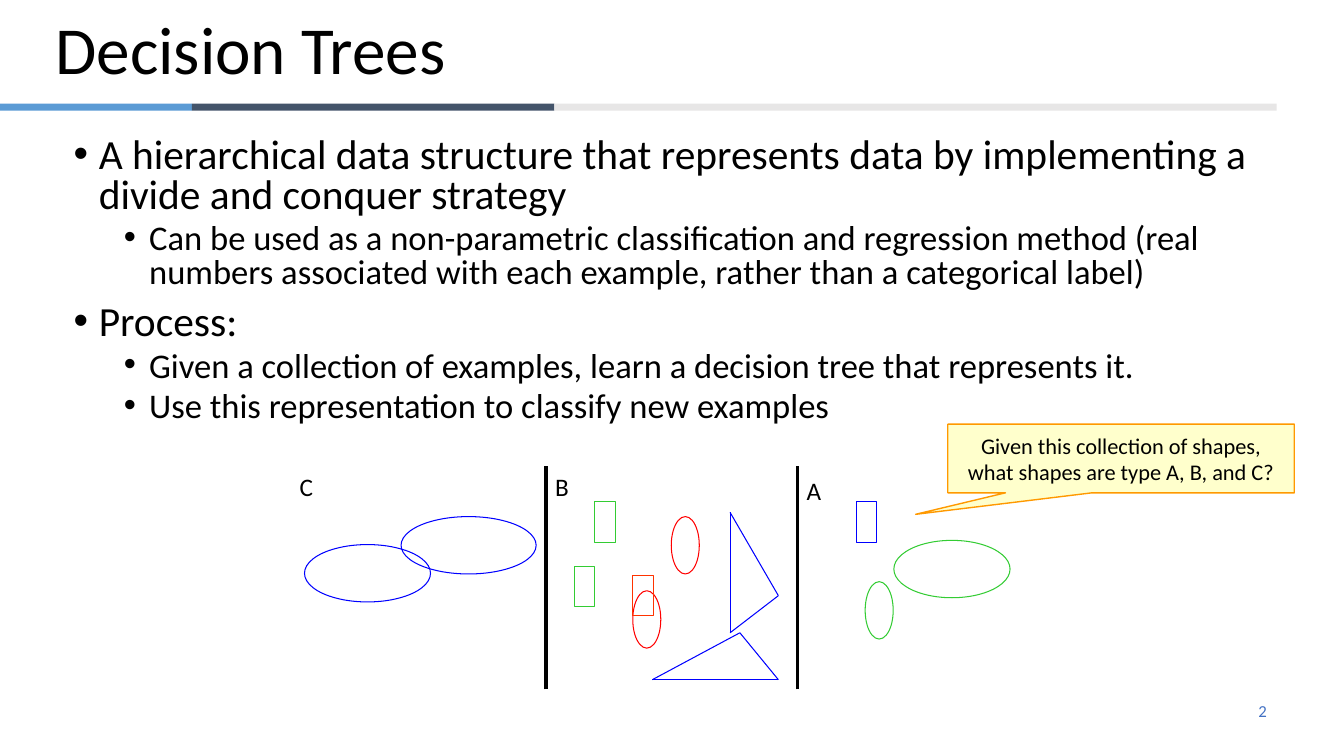
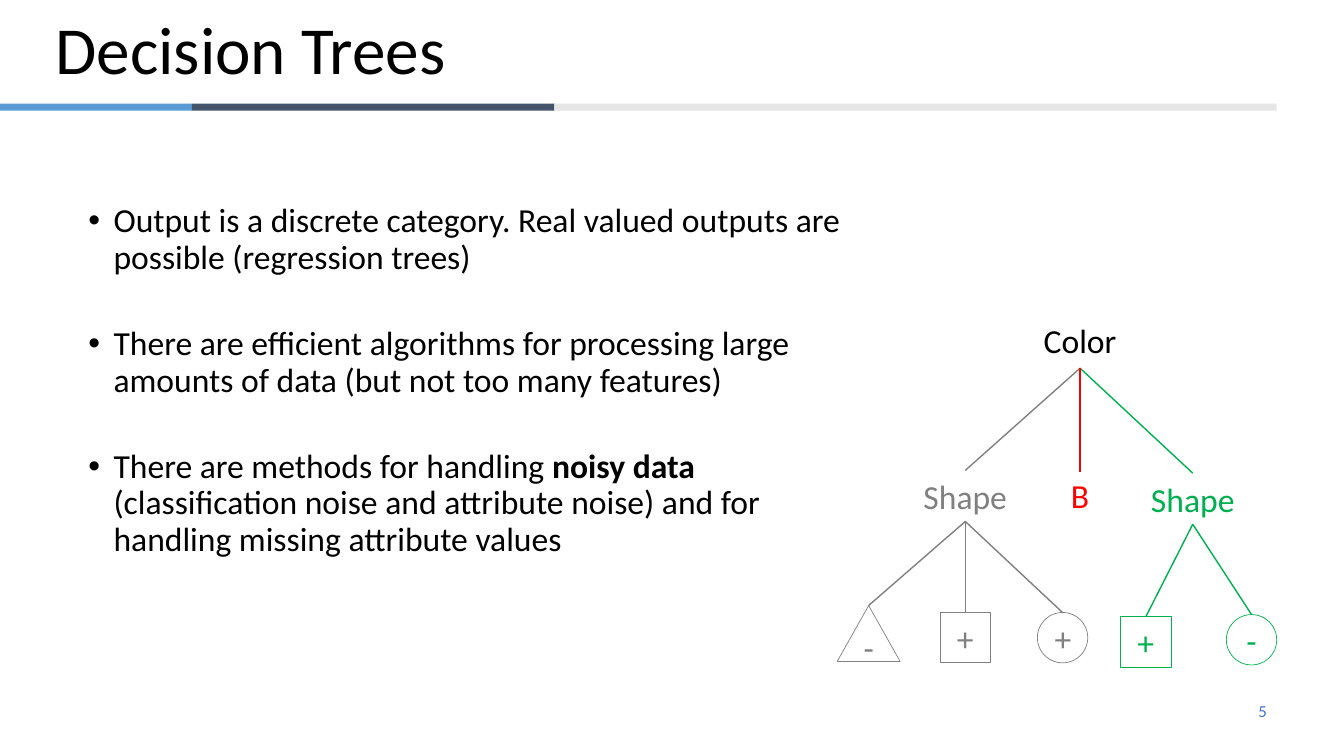
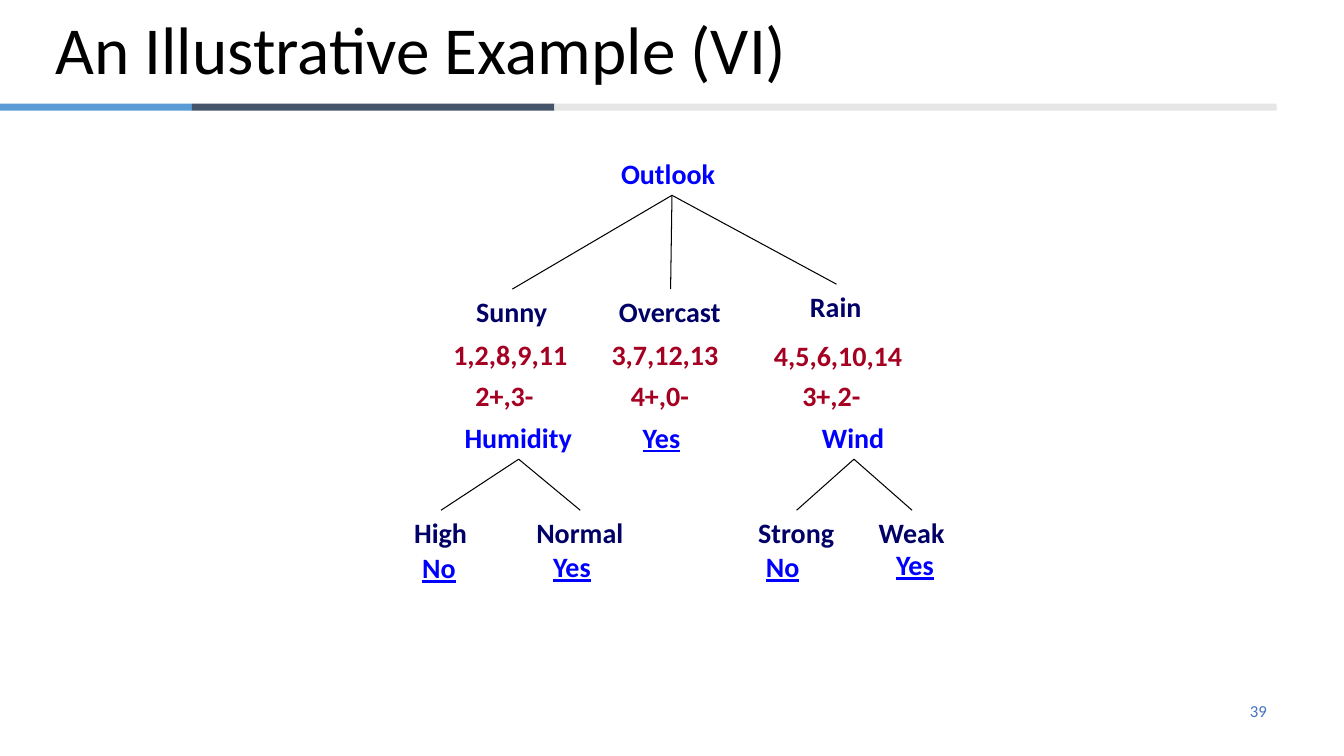
from itertools import combinations
from lxml import etree
from pptx import Presentation
from pptx import util as u
from pptx.dml import color as c
from pptx.enum import shapes as s, text as t
from pptx.oxml import ns

FONT = "Calibri"
BLACK, BLUE, GREEN, RED = "000000", "0000FF", "33CC33", "FF0000"
GRAY, LEAF, NAVY, WINE = "808080", "00B050", "000066", "A50021"
RECT, OVAL = s.MSO_SHAPE.RECTANGLE, s.MSO_SHAPE.OVAL
ROUND, TRI = s.MSO_SHAPE.ROUNDED_RECTANGLE, s.MSO_SHAPE.ISOSCELES_TRIANGLE
MID, LEFT = t.PP_ALIGN.CENTER, t.PP_ALIGN.LEFT
BANDS = [(137, "5B9BD5"), (259, "44546A"), (516, "E7E6E6")]


def hue(code):
    return c.RGBColor.from_string(code)


def put(item, **form):
    for key, val in form.items():
        setattr(item, key, val)


def pts(*nums):
    return [u.Pt(n) for n in nums]


def add_run(para, words, size, tint=BLACK, **form):
    run = para.add_run()
    run.text = words
    put(run.font, name=FONT, size=u.Pt(size), **form)
    run.font.color.rgb = hue(tint)


def add_text(slide, box, words, size, tint=BLACK, align=LEFT,
             anchor=t.MSO_ANCHOR.TOP, space=1.0, grow=False, **form):
    frame = slide.shapes.add_textbox(*pts(*box)).text_frame
    fit = t.MSO_AUTO_SIZE.SHAPE_TO_FIT_TEXT if grow else t.MSO_AUTO_SIZE.NONE
    put(frame, word_wrap=not grow, auto_size=fit, vertical_anchor=anchor)
    para = frame.paragraphs[0]
    put(para, alignment=align, line_spacing=space)
    add_run(para, words, size, tint, **form)


def add_form(slide, kind, box, fill=None, line=None, width=0.75,
             words="", size=24, tint=BLACK):
    form = slide.shapes.add_shape(kind, *pts(*box))
    form.shadow.inherit = False
    if fill:
        form.fill.solid()
        form.fill.fore_color.rgb = hue(fill)
    else:
        form.fill.background()
    if line:
        form.line.color.rgb = hue(line)
        form.line.width = u.Pt(width)
    else:
        form.line.fill.background()
    if words:
        put(form.text_frame, word_wrap=True, vertical_anchor=t.MSO_ANCHOR.MIDDLE)
        para = form.text_frame.paragraphs[0]
        para.alignment = MID
        add_run(para, words, size, tint)
    return form


def add_line(slide, start, end, tint=BLACK, width=0.75):
    line = slide.shapes.add_connector(s.MSO_CONNECTOR.STRAIGHT, *pts(*start, *end))
    line.line.color.rgb = hue(tint)
    line.line.width = u.Pt(width)
    etree.SubElement(line._element.spPr, ns.qn("a:effectLst"))


def new_slide(deck, title, num):
    slide = deck.slides.add_slide(deck.slide_layouts[6])
    left = 0
    for wide, tint in BANDS:
        add_form(slide, RECT, (left, 74, wide, 5), tint)
        left += wide
    add_text(slide, (688, 493, 224, 29), num, 12, "4472C4",
             t.PP_ALIGN.RIGHT, t.MSO_ANCHOR.MIDDLE)
    add_text(slide, (32.5, 1.5, 864, 72.5), title, 48,
             anchor=t.MSO_ANCHOR.MIDDLE, space=0.9)
    return slide


def add_list(slide, box, items, sizes, gaps, space):
    frame = slide.shapes.add_textbox(*pts(*box)).text_frame
    frame.word_wrap = True
    for i, (level, parts) in enumerate(items):
        para = frame.add_paragraph() if i else frame.paragraphs[0]
        gap = gaps[level] if i else min(gaps)
        put(para, line_spacing=space, space_before=u.Pt(gap))
        prop = para._p.get_or_add_pPr()
        prop.set("marL", str(u.Pt(18 + 36 * level)))
        prop.set("indent", str(u.Pt(-18)))
        etree.SubElement(prop, ns.qn("a:buFont"), typeface="Arial")
        etree.SubElement(prop, ns.qn("a:buChar"), char="•")
        for words, bold in parts:
            add_run(para, words, sizes[level], bold=bold)


def add_zoo(slide, left, top):
    ovals = [(245, 89, 20, RED), (272.5, 36, 20, RED), (411, 82.5, 20, GREEN),
             (10.5, 56, 90, BLUE), (79.5, 36, 96.5, BLUE), (431.5, 53, 83, GREEN)]
    rects = [(404.5, 25.5, BLUE), (218, 25.5, GREEN),
             (203.5, 71.5, GREEN), (245, 78, "FF3300")]
    wedges = [[(321.5, 119), (259, 152.5), (349, 152.5)],
              [(349, 92.5), (314.5, 33), (314.5, 119)]]
    for x, y, wide, tint in ovals:
        add_form(slide, OVAL, (left + x, top + y, wide, 41), line=tint)
    for x, y, tint in rects:
        add_form(slide, RECT, (left + x, top + y, 14.5, 29), line=tint)
    for wedge in wedges:
        ends = [(left + x, top + y) for x, y in wedge]
        for start, end in combinations(ends, 2):
            add_line(slide, start, end, BLUE)
    for x in (183, 362.5):
        add_line(slide, (left + x, top + 159.5), (left + x, top), width=2.25)
    for name, x, y in [("C", 0, 0), ("B", 182.5, 0), ("A", 362, 3)]:
        add_text(slide, (left + x, top + y, 32, 29), name, 18)


def add_tip(slide, box, words):
    tip = add_form(slide, s.MSO_SHAPE.RECTANGULAR_CALLOUT, box, "FFFFCC",
                   "FF9900", 1, words, 16)
    tip.adjustments[0], tip.adjustments[1] = -0.593, 0.814


def add_tree(slide, left, top, nodes, draw, width, edge=None):
    spots = []
    for words, mid, y, wide, high, tint, kind, root in nodes:
        x, y = left + mid, top + y
        spots.append((x, y + high))
        if root is not None:
            add_line(slide, spots[root], (x, y), edge or tint, width)
        draw(slide, (x - wide / 2, y, wide, high), words, tint, kind)


def draw_node(slide, box, words, tint, kind):
    rim = tint if kind in (RECT, TRI) or box[2] == box[3] else None
    add_form(slide, kind, box, line=rim, width=0.5, words=words, tint=tint)


def draw_word(slide, box, words, tint, kind):
    add_text(slide, box, words, 20, tint, grow=True, bold=True,
             underline=words in ("Yes", "No"))


def intro(deck):
    slide = new_slide(deck, "Decision Trees", "2")
    items = [
        (0, "A hierarchical data structure that represents data by implementing a divide and conquer strategy"),
        (1, "Can be used as a non-parametric classification and regression method (real numbers associated with each example, rather than a categorical label)"),
        (0, "Process:"),
        (1, "Given a collection of examples, learn a decision tree that represents it."),
        (1, "Use this representation to classify new examples")]
    add_list(slide, (45.5, 95, 864, 232), [(n, [(w, False)]) for n, w in items],
             (29.6, 24.7), (10, 5), 0.8)
    add_zoo(slide, 207, 333)
    add_tip(slide, (677, 303, 247.5, 49),
            "Given this collection of shapes, what shapes are type A, B, and C?")


def traits(deck):
    slide = new_slide(deck, "Decision Trees", "5")
    items = [
        [("Output is a discrete category. Real valued outputs are possible (regression trees)", False)],
        [("There are efficient algorithms for processing large amounts of data (but not too many features)", False)],
        [("There are methods for handling ", False), ("noisy data ", True),
         ("(classification noise and attribute noise) and for handling missing attribute values", False)]]
    add_list(slide, (56, 142, 563, 387), [(0, parts) for parts in items],
             (24,), (36, 5), 0.9)
    nodes = [
        ("Color", 173.5, 0, 114, 40.5, BLACK, ROUND, None),
        ("Shape", 91.5, 113.5, 114, 36.5, GRAY, ROUND, 0),
        ("Shape", 254, 115.5, 114, 36.5, LEAF, ROUND, 0),
        ("B", 173.5, 115, 57.5, 32.5, RED, OVAL, 0),
        ("-", 22.5, 210, 45, 40, GRAY, TRI, 1),
        ("+", 91.5, 215, 36, 36, GRAY, RECT, 1),
        ("+", 161, 215, 36, 36, GRAY, OVAL, 1),
        ("+", 220.5, 218, 36, 36, LEAF, RECT, 2),
        ("-", 296, 216.5, 36, 36, LEAF, OVAL, 2)]
    add_tree(slide, 598, 222.5, nodes, draw_node, 1)


def sample(deck):
    slide = new_slide(deck, "An Illustrative Example (VI)", "39")
    words = [
        ("Outlook", 191, 0, 87, BLUE, None),
        ("Sunny", 77, 98.5, 66, NAVY, 0),
        ("Overcast", 190, 98.5, 88, NAVY, 0),
        ("Rain", 308.5, 95, 52, NAVY, 0),
        ("1,2,8,9,11", 76, 129.5, 96.5, WINE, None),
        ("3,7,12,13", 186.5, 129.5, 91.5, WINE, None),
        ("4,5,6,10,14", 310, 130, 106.5, WINE, None),
        ("2+,3-", 71.5, 158.5, 56, WINE, None),
        ("4+,0-", 182.5, 158.5, 56, WINE, None),
        ("3+,2-", 305, 158.5, 56, WINE, None),
        ("Humidity", 81.5, 188.5, 91.5, BLUE, None),
        ("Yes", 184, 188.5, 42, BLUE, None),
        ("Wind", 321, 188.5, 60, BLUE, None),
        ("High", 26, 256.5, 52.5, NAVY, 10),
        ("Normal", 125.5, 256.5, 77, NAVY, 10),
        ("Strong", 280, 256.5, 69, NAVY, 12),
        ("Weak", 362.5, 256.5, 62, NAVY, 12),
        ("No", 25, 282, 39, BLUE, None),
        ("Yes", 120, 281, 42, BLUE, None),
        ("No", 270.5, 281, 39, BLUE, None),
        ("Yes", 365, 279.5, 42, BLUE, None)]
    nodes = [(word, mid, y, wide, 31.5, tint, None, root)
             for word, mid, y, wide, tint, root in words]
    add_tree(slide, 289, 108, nodes, draw_word, 0.75, BLACK)


def main():
    deck = Presentation()
    put(deck, slide_width=u.Pt(960), slide_height=u.Pt(540))
    for build in (intro, traits, sample):
        build(deck)
    deck.save("out.pptx")


if __name__ == "__main__":
    main()
